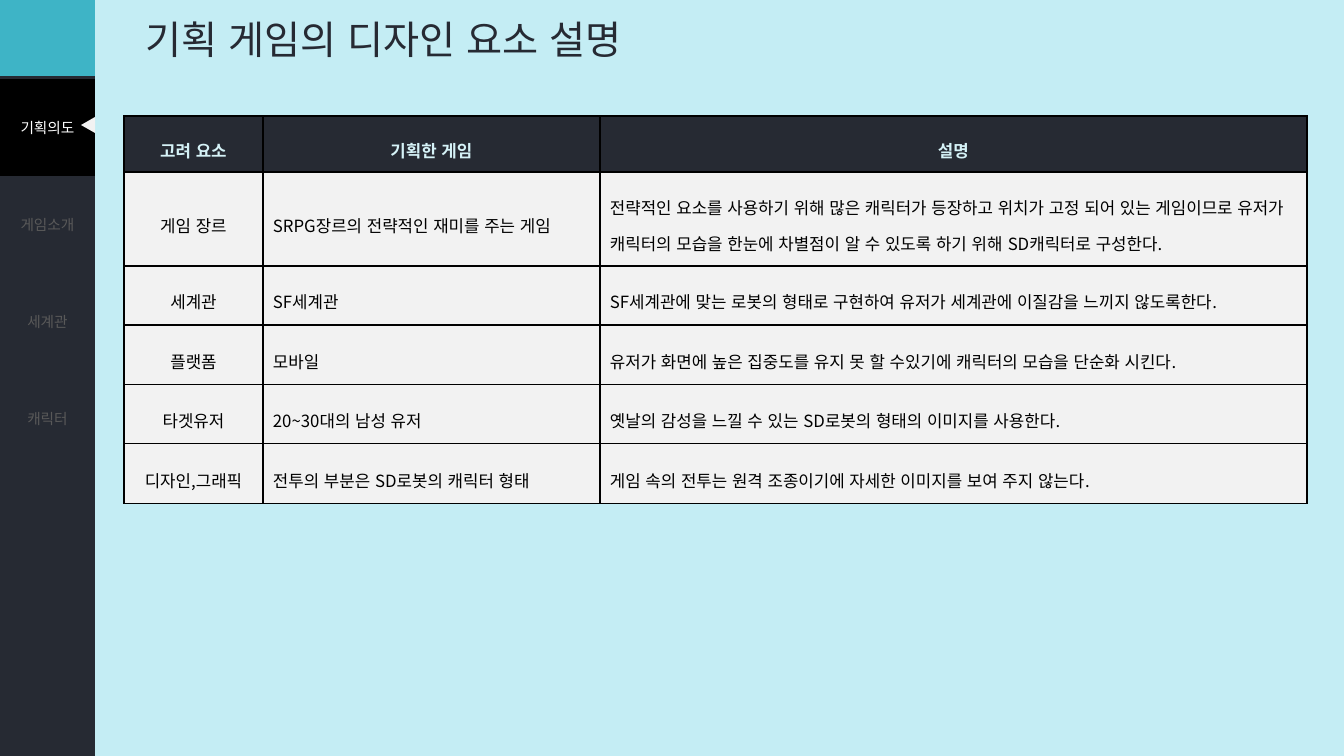
import pptx
import pptx.util
import pptx.dml.color
import pptx.enum.dml
import pptx.enum.lang
import pptx.enum.shapes
import pptx.enum.text
import pptx.oxml.ns
from lxml import etree

RGBColor = pptx.dml.color.RGBColor
SHAPES = pptx.enum.shapes.MSO_SHAPE
ALIGN = pptx.enum.text.PP_ALIGN
MIDDLE = pptx.enum.text.MSO_ANCHOR.MIDDLE

WIDTH, HEIGHT = 1344, 756
EMU_PER_PX = 12192000 / WIDTH
FONT = "Noto Sans CJK KR"
PLAIN_STYLE = "{2D5ABB26-0587-4C30-8999-92F81FD0307C}"

PALE_CYAN = RGBColor(0xC4, 0xED, 0xF4)
CYAN = RGBColor(0x3E, 0xB4, 0xC6)
NAVY = RGBColor(0x26, 0x2A, 0x33)
BLACK = RGBColor(0, 0, 0)
WHITE = RGBColor(0xFF, 0xFF, 0xFF)
DIM_GREY = RGBColor(0x59, 0x59, 0x59)
LIGHT_GREY = RGBColor(0xF2, 0xF2, 0xF2)
HEADER_TEXT = RGBColor(0xD5, 0xF2, 0xF7)

SIDEBAR_WIDTH = 95
CORNER_HEIGHT = 76
MENU_TOP = 79
MENU_ROW = 97
MENU_ROWS = 7
MENU = ["기획의도", "게임소개", "세계관", "캐릭터"]

TITLE = "기획 게임의 디자인 요소 설명"
COLUMN_WIDTHS = [139, 337, 707]
ROW_HEIGHTS = [56, 94, 59, 60, 59, 60]
ELEMENTS = [
    ("고려 요소", "기획한 게임", "설명"),
    ("게임 장르", "SRPG장르의 전략적인 재미를 주는 게임",
     "전략적인 요소를 사용하기 위해 많은 캐릭터가 등장하고 위치가 고정 되어 있는 게임이므로 유저가 "
     "캐릭터의 모습을 한눈에 차별점이 알 수 있도록 하기 위해 SD캐릭터로 구성한다."),
    ("세계관", "SF세계관",
     "SF세계관에 맞는 로봇의 형태로 구현하여 유저가 세계관에 이질감을 느끼지 않도록한다."),
    ("플랫폼", "모바일",
     "유저가 화면에 높은 집중도를 유지 못 할 수있기에 캐릭터의 모습을 단순화 시킨다."),
    ("타겟유저", "20~30대의 남성 유저",
     "옛날의 감성을 느낄 수 있는 SD로봇의 형태의 이미지를 사용한다."),
    ("디자인,그래픽", "전투의 부분은 SD로봇의 캐릭터 형태",
     "게임 속의 전투는 원격 조종이기에 자세한 이미지를 보여 주지 않는다."),
]


def px(length):
    return pptx.util.Emu(round(length * EMU_PER_PX))


def write(frame, text, size, color, align=ALIGN.LEFT, bold=False, spacing=None):
    frame.text = text
    paragraph = frame.paragraphs[0]
    paragraph.alignment = align
    if spacing:
        paragraph.line_spacing = spacing
    font = paragraph.runs[0].font
    font.size = pptx.util.Pt(size)
    font.bold = bold
    font.color.rgb = color
    font.name = FONT
    font.language_id = pptx.enum.lang.MSO_LANGUAGE_ID.KOREAN
    east_asian = etree.SubElement(font._element, pptx.oxml.ns.qn("a:ea"))
    east_asian.set("typeface", FONT)


def fill_cell(cell, color):
    cell.fill.solid()
    cell.fill.fore_color.rgb = color


def add_border(cell):
    """Draw a thin black line on all four sides; call before the cell is filled."""
    properties = cell._tc.get_or_add_tcPr()
    for side in ("lnL", "lnR", "lnT", "lnB"):
        line = etree.SubElement(properties, pptx.oxml.ns.qn(f"a:{side}"), w="12700")
        fill = etree.SubElement(line, pptx.oxml.ns.qn("a:solidFill"))
        etree.SubElement(fill, pptx.oxml.ns.qn("a:srgbClr"), val=str(BLACK))


def add_block(slide, preset, left, top, width, height, color):
    block = slide.shapes.add_shape(preset, px(left), px(top), px(width), px(height))
    block.shadow.inherit = False
    block.fill.solid()
    block.fill.fore_color.rgb = color
    block.line.fill.background()
    return block


def add_plain_table(slide, left, top, widths, heights):
    """Add a table without banding or styled borders."""
    table = slide.shapes.add_table(
        len(heights), len(widths), px(left), px(top),
        px(sum(widths)), px(sum(heights))).table
    table.first_row = False
    table.horz_banding = False
    table._tbl.tblPr.find(pptx.oxml.ns.qn("a:tableStyleId")).text = PLAIN_STYLE
    for column, width in zip(table.columns, widths):
        column.width = px(width)
    for row, height in zip(table.rows, heights):
        row.height = px(height)
    return table


def add_sidebar(slide, top):
    """Add the navy column of menu cells and return its table."""
    sidebar = add_plain_table(slide, 0, top, [SIDEBAR_WIDTH], [MENU_ROW] * MENU_ROWS)
    for cell in sidebar.iter_cells():
        fill_cell(cell, NAVY)
    return sidebar


def add_menu(slide):
    menu = add_sidebar(slide, MENU_TOP)
    for index, label in enumerate(MENU):
        cell = menu.cell(index, 0)
        cell.vertical_anchor = MIDDLE
        write(cell.text_frame, label, 10.5,
              DIM_GREY if index else WHITE, ALIGN.CENTER)
    fill_cell(menu.cell(0, 0), BLACK)


def add_title(slide):
    title = slide.shapes.add_textbox(px(136), px(1), px(1141), px(75))
    title.text_frame.word_wrap = True
    title.text_frame.vertical_anchor = MIDDLE
    write(title.text_frame, TITLE, 28, NAVY)


def add_elements(slide):
    table = add_plain_table(slide, 124, 116, COLUMN_WIDTHS, ROW_HEIGHTS)
    for row, texts in enumerate(ELEMENTS):
        header = row == 0
        for column, text in enumerate(texts):
            cell = table.cell(row, column)
            add_border(cell)
            fill_cell(cell, NAVY if header else LIGHT_GREY)
            cell.vertical_anchor = MIDDLE
            cell.margin_left = cell.margin_right = px(10)
            cell.margin_top = cell.margin_bottom = px(10)
            centred = header or column == 0
            write(cell.text_frame, text, 12, HEADER_TEXT if header else BLACK,
                  ALIGN.CENTER if centred else ALIGN.LEFT, header, 1.5)


def main():
    deck = pptx.Presentation()
    deck.slide_width, deck.slide_height = px(WIDTH), px(HEIGHT)
    slide = deck.slides.add_slide(deck.slide_layouts[6])

    add_block(slide, SHAPES.RECTANGLE, 0, 0, WIDTH, HEIGHT, PALE_CYAN)
    add_sidebar(slide, CORNER_HEIGHT)
    add_block(slide, SHAPES.RECTANGLE, 0, 0, SIDEBAR_WIDTH, CORNER_HEIGHT, CYAN)
    add_menu(slide)
    pointer = add_block(slide, SHAPES.ISOSCELES_TRIANGLE, 80, 118, 16, 14, LIGHT_GREY)
    pointer.rotation = 270
    add_title(slide)
    add_elements(slide)
    deck.save("out.pptx")


if __name__ == "__main__":
    main()
